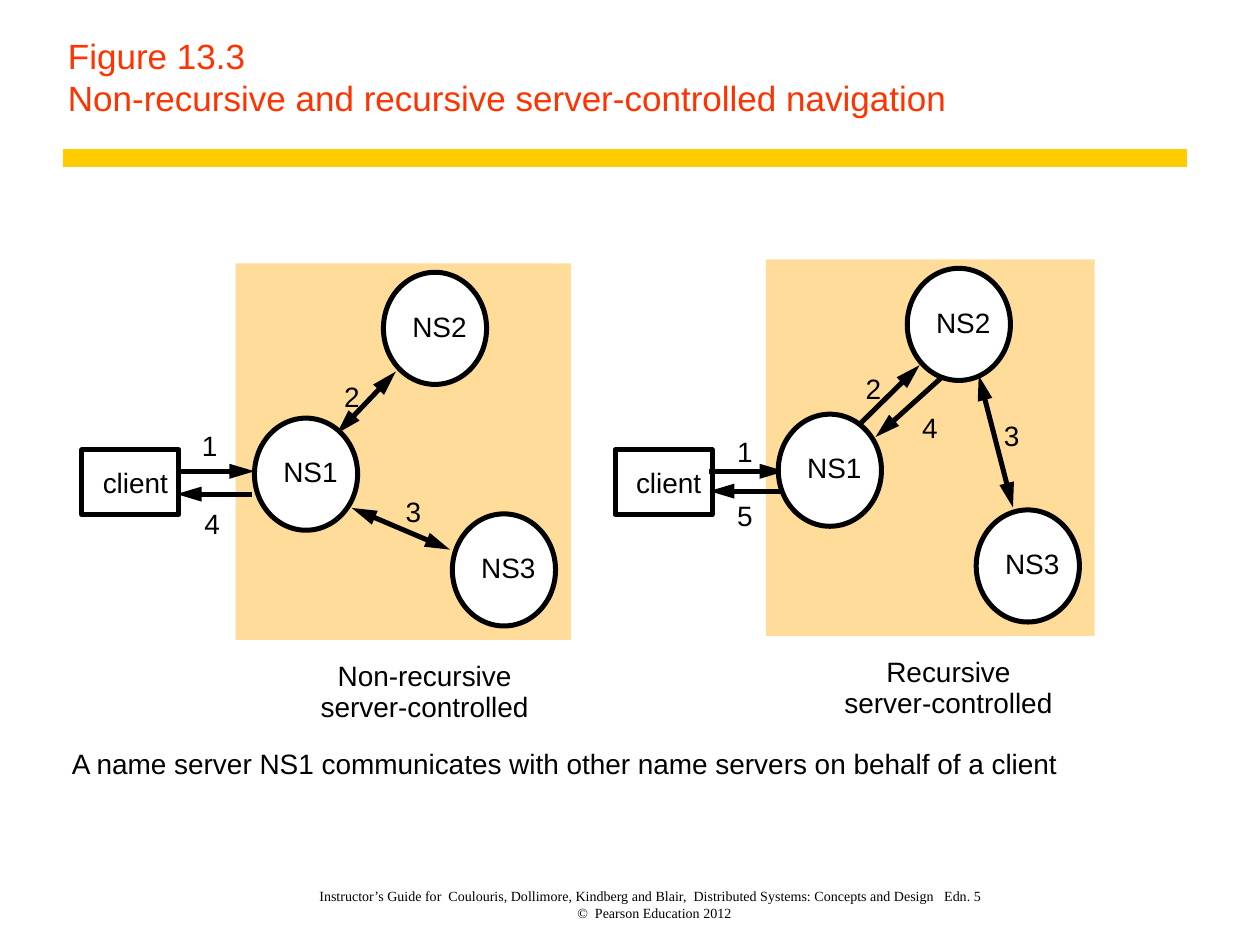
from dataclasses import dataclass

from lxml import etree
from pptx import Presentation
from pptx import util as u
from pptx.dml.color import RGBColor
from pptx.enum import shapes, text
from pptx.oxml.ns import qn

Cm = u.Cm


@dataclass(frozen=True)
class Theme:
    title: str = "FF3300"
    rule: str = "FFCC00"
    panel: str = "FFDC99"
    node: str = "FFFFFF"
    ink: str = "000000"
    sans: str = "Arial"
    serif: str = "Times New Roman"
    title_size: float = 20
    body_size: float = 16
    footer_size: float = 8
    stroke: float = 2.86
    rule_width: float = 10


THEME = Theme()
NODE_SIZE = 2.08, 2.26
CLIENT_SIZE = 1.96, 1.3
CLIENT_TOP = 9.07
# Offsets from the top right corner of a panel
NODES = {"NS1": (-6.38, 3.12), "NS2": (-3.78, 0.18), "NS3": (-2.39, 5.05)}

# Arrow: from, to, both ends headed, number, number position
NON_RECURSIVE = [
    ((-7.95, 4.19), (-6.38, 4.19), False, "1", (-7.44, 3.33)),
    ((-4.72, 3.43), (-3.53, 2.18), True, "2", (-4.57, 2.34)),
    ((-4.42, 4.93), (-2.44, 5.77), True, "3", (-3.33, 4.67)),
    ((-6.43, 4.65), (-7.95, 4.65), False, "4", (-7.39, 4.9)),
]
RECURSIVE = [
    ((-7.77, 4.27), (-6.25, 4.27), False, "1", (-7.21, 3.53)),
    ((-4.8, 3.38), (-3.53, 2.13), False, "2", (-4.62, 2.26)),
    ((-1.65, 5.0), (-2.34, 2.34), True, "3", (-1.83, 3.2)),
    ((-2.9, 2.21), (-4.42, 3.58), False, "4", (-3.48, 3.05)),
    ((-6.25, 4.67), (-7.77, 4.67), False, "5", (-7.21, 4.83)),
]


def write(shape, words, size=THEME.body_size, font=THEME.sans, color=THEME.ink,
          align=text.PP_ALIGN.LEFT, anchor=text.MSO_ANCHOR.TOP,
          insets=(0, 0, 0, 0), wrap=True, leading=None):
    """Fill a shape with text; insets run left, top, right, bottom in cm."""
    frame = shape.text_frame
    frame.text = words
    frame.word_wrap = wrap
    frame.vertical_anchor = anchor
    (frame.margin_left, frame.margin_top,
     frame.margin_right, frame.margin_bottom) = map(Cm, insets)
    for para in frame.paragraphs:
        para.alignment = align
        if leading:
            para.line_spacing = u.Pt(leading)
        for span in para.runs:
            span.font.name = font
            span.font.size = u.Pt(size)
            span.font.color.rgb = RGBColor.from_string(color)


def add_text(page, box, words, **style):
    write(page.shapes.add_textbox(*map(Cm, box)), words, **style)


def add_block(page, kind, box, fill=None, outlined=True):
    block = page.shapes.add_shape(kind, *map(Cm, box))
    block.shadow.inherit = False
    if fill:
        block.fill.solid()
        block.fill.fore_color.rgb = RGBColor.from_string(fill)
    else:
        block.fill.background()
    if outlined:
        block.line.color.rgb = RGBColor.from_string(THEME.ink)
        block.line.width = u.Pt(THEME.stroke)
    else:
        block.line.fill.background()
    return block


def add_line(page, start, end, color=THEME.ink, width=THEME.stroke, heads=()):
    """Draw a straight line; heads names the ends that carry an arrowhead."""
    line = page.shapes.add_connector(
        shapes.MSO_CONNECTOR.STRAIGHT, *map(Cm, (*start, *end)))
    line.line.color.rgb = RGBColor.from_string(color)
    line.line.width = u.Pt(width)
    outline = line.line._get_or_add_ln()
    for head in heads:
        etree.SubElement(outline, qn(f"a:{head}"), type="triangle", w="med", len="lg")
    etree.SubElement(line._element.spPr, qn("a:effectLst"))


def add_header(page, box):
    left, top, width, height = box
    add_text(page, box,
             "Figure 13.3\vNon-recursive and recursive server-controlled navigation",
             size=THEME.title_size, color=THEME.title,
             anchor=text.MSO_ANCHOR.BOTTOM, insets=(0.25, 0.15, 0.36, 0.15))
    rule_y = top + height + 0.64
    add_line(page, (left + 0.15, rule_y), (left + width + 0.03, rule_y),
             color=THEME.rule, width=THEME.rule_width)


def add_diagram(page, box, client_left, arrows, caption):
    """Draw one navigation scheme around its tinted panel."""
    left, top, width, height = box
    right = left + width

    def place(point):
        return right + point[0], top + point[1]

    centred = dict(align=text.PP_ALIGN.CENTER, anchor=text.MSO_ANCHOR.MIDDLE, wrap=False)
    add_block(page, shapes.MSO_SHAPE.RECTANGLE, box, THEME.panel, outlined=False)
    for start, end, both, number, spot in arrows:
        heads = ("headEnd", "tailEnd") if both else ("tailEnd",)
        add_line(page, place(start), place(end), heads=heads)
        add_text(page, (*place(spot), 0.3, 0.69), number, wrap=False)

    client = add_block(page, shapes.MSO_SHAPE.RECTANGLE,
                       (client_left, CLIENT_TOP, *CLIENT_SIZE))
    write(client, "client", insets=(0.2, 0, 0, 0), **centred)
    for name, corner in NODES.items():
        node = add_block(page, shapes.MSO_SHAPE.OVAL,
                         (*place(corner), *NODE_SIZE), THEME.node)
        write(node, name, insets=(0.18, 0, 0, 0.1), **centred)
    add_text(page, (right - 5.05, top + height + 0.44, 4.2, 1.3), caption,
             align=text.PP_ALIGN.CENTER, leading=17.5)


def add_footer(page, box):
    add_text(page, box,
             "Instructor’s Guide for  Coulouris, Dollimore, Kindberg and Blair,  "
             "Distributed Systems: Concepts and Design   Edn. 5   \v"
             "©  Pearson Education 2012 ",
             size=THEME.footer_size, font=THEME.serif, align=text.PP_ALIGN.CENTER,
             anchor=text.MSO_ANCHOR.BOTTOM, insets=(0.1, 0, 0.1, 0))


def main():
    deck = Presentation()
    deck.slide_width, deck.slide_height = Cm(25.4), Cm(19.05)
    page = deck.slides.add_slide(deck.slide_layouts[6])
    add_header(page, (1.12, 0, 22.78, 2.54))
    add_diagram(page, (4.75, 5.31, 6.76, 7.59), 1.65, NON_RECURSIVE,
                "Non-recursive\nserver-controlled")
    add_diagram(page, (15.44, 5.23, 6.63, 7.59), 12.4, RECURSIVE,
                "Recursive\nserver-controlled")
    add_text(page, (1.45, 15.06, 21, 0.69),
             "A name server NS1 communicates with other name servers on behalf of a client")
    add_footer(page, (5.51, 17.58, 15.44, 0.99))
    deck.save("out.pptx")


if __name__ == "__main__":
    main()
